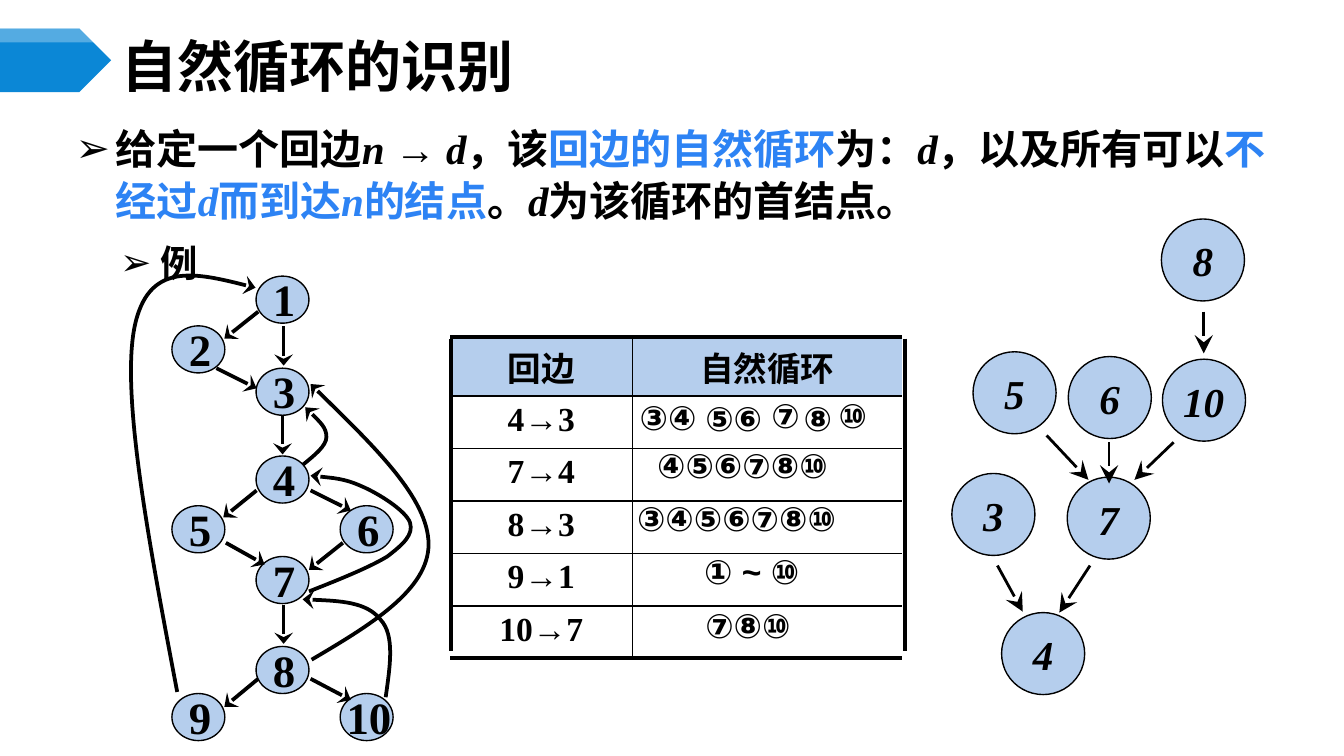
import pptx
import pptx.util
import pptx.dml.color
import pptx.enum.shapes
import pptx.enum.text
import pptx.oxml.ns
from lxml import etree

Cm, Pt = pptx.util.Cm, pptx.util.Pt
RGB = pptx.dml.color.RGBColor
SHAPE = pptx.enum.shapes.MSO_SHAPE
ALIGN = pptx.enum.text.PP_ALIGN
ANCHOR = pptx.enum.text.MSO_ANCHOR
qn = pptx.oxml.ns.qn

BLACK = RGB(0, 0, 0)
WHITE = RGB(255, 255, 255)
BANNER = RGB(0x0B, 0x87, 0xD6)
NODE = RGB(0xB5, 0xCE, 0xED)
KEY = RGB(0x2D, 0x83, 0xF4)
CJK, SERIF, SANS = "Noto Sans CJK SC", "Times New Roman", "Arial"
PLAIN_TABLE = "{2D5ABB26-0587-4C30-8999-92F81FD0307C}"

# number: (left, top)
FLOW_NODES = {
    "1": (4.84, 5.22), "2": (3.25, 6.16), "3": (4.84, 6.96), "4": (4.84, 8.62),
    "5": (3.25, 9.56), "6": (6.43, 9.56), "7": (4.84, 10.52),
    "8": (4.84, 12.22), "9": (3.25, 13.11), "10": (6.43, 13.11)}
FLOW_EDGES = [
    (4.88, 5.89, 4.24, 6.4), (5.36, 6.17, 5.36, 6.91), (4.09, 6.96, 4.85, 7.34),
    (5.34, 7.87, 5.34, 8.59), (4.85, 9.27, 4.22, 9.78), (5.87, 9.27, 6.63, 9.65),
    (4.27, 10.26, 5, 10.67), (6.48, 10.26, 5.84, 10.77),
    (5.36, 11.43, 5.36, 12.17), (4.88, 12.83, 4.24, 13.36),
    (5.87, 12.83, 6.63, 13.23)]
# start point, then three control points per Bezier piece
BACK_EDGES = [
    [(5.72, 8.79), (5.94, 8.61), (6.17, 8.43), (6.17, 8.26),
     (6.17, 8.08), (5.97, 7.9), (5.77, 7.7)],
    [(7.29, 13.18), (7.37, 12.6), (7.47, 12.01), (7.19, 11.71),
     (6.93, 11.38), (6.32, 11.35), (5.72, 11.33)],
    [(5.84, 11.18), (6.43, 10.95), (6.99, 10.72), (7.32, 10.52),
     (7.62, 10.29), (7.82, 10.11), (7.75, 9.88),
     (7.67, 9.65), (7.14, 9.32), (6.83, 9.19),
     (6.5, 9.04), (5.87, 8.99), (5.87, 8.99)],
    [(3.35, 13.08), (2.82, 10.29), (2.29, 7.49), (2.54, 6.2),
     (2.79, 4.93), (3.81, 5.18), (4.83, 5.44)],
    [(5.89, 12.47), (7.01, 11.81), (8.1, 11.15), (8.1, 10.29),
     (8.1, 9.42), (6.99, 8.36), (5.87, 7.26)]]
LOOP_NODES = {
    "8": (21.95, 4.14), "5": (18.39, 6.65), "6": (20.19, 6.74),
    "10": (21.97, 6.79), "3": (17.99, 8.95), "7": (20.17, 9.02),
    "4": (18.93, 11.58)}
LOOP_EDGES = [
    (22.75, 5.89, 22.75, 6.68), (19.78, 8.23, 20.57, 9.07),
    (20.96, 8.36, 20.96, 9.14), (22.18, 8.36, 21.44, 9.07),
    (18.85, 10.69, 19.33, 11.56), (20.6, 10.69, 20.02, 11.58)]
TABLE_EDGES = [("4", "3"), ("7", "4"), ("8", "3"), ("9", "1"), ("10", "7")]
# left, top, width, circled numbers
LOOPS = [
    (11.84, 7.37, 1.8, "③④"), (13.08, 7.39, 1.8, "⑤⑥"), (14.33, 7.34, 1.14, "⑦"),
    (14.94, 7.39, 1.14, "⑧"), (15.6, 7.34, 1.14, "⑩"),
    (12.17, 8.28, 4.39, "④⑤⑥⑦⑧⑩"), (11.79, 9.28, 5.03, "③④⑤⑥⑦⑧⑩"),
    (13.06, 10.29, 2.54, "① ~ ⑩"), (13.08, 11.31, 2.46, "⑦⑧⑩")]


class Deck:
    margins = dict(margin_left=Cm(0.18), margin_right=Cm(0.18),
                   margin_top=Cm(0.1), margin_bottom=Cm(0.1))

    def __init__(self, slide):
        self.slide = slide
        self.shapes = slide.shapes

    def put(self, obj, values):
        for name, value in values.items():
            setattr(obj, name, value)

    def run(self, p, text, size, font, color=BLACK, italic=False, ea=None):
        r = p.add_run()
        r.text = text
        self.put(r.font, dict(size=Pt(size), name=font, bold=True, italic=italic))
        r.font.color.rgb = color
        if ea:
            etree.SubElement(r.font._element, qn("a:ea"), typeface=ea)

    def frame(self, x, y, w, h, **values):
        tf = self.shapes.add_textbox(Cm(x), Cm(y), Cm(w), Cm(h)).text_frame
        self.put(tf, dict(word_wrap=True, **values))
        return tf

    def shape(self, kind, x, y, w, h, fill, line=None):
        sp = self.shapes.add_shape(kind, Cm(x), Cm(y), Cm(w), Cm(h))
        sp.shadow.inherit = False
        sp.fill.solid()
        sp.fill.fore_color.rgb = fill
        if line:
            sp.line.color.rgb = BLACK
            sp.line.width = Pt(line)
        else:
            sp.line.fill.background()
        return sp

    def stroke(self, sp, width, head):
        """Style a line; head is the arrowhead length, or None."""
        sp.line.color.rgb = BLACK
        sp.line.width = Pt(width)
        if head:
            etree.SubElement(sp.line._get_or_add_ln(), qn("a:tailEnd"),
                             type="stealth", w="lg", len=head)

    def line(self, x1, y1, x2, y2, width=2, head="med"):
        c = self.shapes.add_connector(pptx.enum.shapes.MSO_CONNECTOR.STRAIGHT,
                                      Cm(x1), Cm(y1), Cm(x2), Cm(y2))
        self.stroke(c, width, head)
        etree.SubElement(c._element.spPr, qn("a:effectLst"))

    def curve(self, points):
        """Draw joined cubic Beziers as one open, arrowed outline."""
        points = [(Cm(x), Cm(y)) for x, y in points]
        fb = self.shapes.build_freeform(*points[0])
        fb.add_line_segments(points[3::3], close=False)
        sp = fb.convert_to_shape()
        for i, seg in enumerate(list(sp._element.iter(qn("a:lnTo")))):
            seg.tag = qn("a:cubicBezTo")
            seg.clear()
            for x, y in points[3 * i + 1:3 * i + 4]:
                etree.SubElement(seg, qn("a:pt"), x=str(x - sp.left), y=str(y - sp.top))
        sp.shadow.inherit = False
        sp.fill.background()
        self.stroke(sp, 2, "med")

    def node(self, number, x, y, w, h, dx, dy, size, italic):
        self.shape(SHAPE.OVAL, x, y, w, h, NODE, 0.75)
        wide = len(number) > 1
        tf = self.frame(x + dx - 0.2 * wide, y + dy, 0.66 + 0.8 * wide,
                        1.18, **self.margins)
        self.run(tf.paragraphs[0], number, size, SERIF, italic=italic)

    def title(self, text):
        sp = self.shapes.title
        self.put(sp, dict(left=Cm(2.11), top=Cm(0.74), width=Cm(22.02), height=Cm(0.99)))
        tf = sp.text_frame
        self.put(tf, dict(vertical_anchor=ANCHOR.MIDDLE, word_wrap=True,
                          auto_size=pptx.enum.text.MSO_AUTO_SIZE.NONE, **self.margins))
        tf.paragraphs[0].alignment = ALIGN.LEFT
        self.run(tf.paragraphs[0], text, 30, CJK, ea=CJK)

    def bullet(self, p, indent, runs, size):
        pPr = p._p.get_or_add_pPr()
        pPr.set("marL", str(Cm(indent)))
        pPr.set("indent", str(-Cm(0.76)))
        p.line_spacing = Pt(28)
        etree.SubElement(pPr, qn("a:buFont"), typeface=SANS)
        etree.SubElement(pPr, qn("a:buChar"), char="➢")
        for text, color, italic in runs:
            self.run(p, text, size, SERIF, color, italic, CJK)

    def cell(self, cell, borders, runs, fill=None):
        tcPr = cell._tc.get_or_add_tcPr()
        for side, width in borders.items():
            ln = etree.SubElement(tcPr, qn("a:ln" + side), w=str(Pt(width)))
            solid = etree.SubElement(ln, qn("a:solidFill"))
            etree.SubElement(solid, qn("a:srgbClr"), val=str(BLACK))
        if fill:
            cell.fill.solid()
            cell.fill.fore_color.rgb = fill
        else:
            cell.fill.background()
        self.put(cell, dict(self.margins, margin_left=Cm(0.46), margin_right=Cm(0.46)))
        p = cell.text_frame.paragraphs[0]
        p.alignment = ALIGN.CENTER
        for text, font, italic in runs:
            self.run(p, text, 18, font, italic=italic, ea=CJK if font == CJK else None)

    def table(self, header, edges):
        n = len(edges) + 1
        tbl = self.shapes.add_table(n, 2, Cm(8.51), Cm(6.37), Cm(8.54), Cm(n * 0.99)).table
        self.put(tbl, dict(first_row=False, horz_banding=False))
        tbl._tbl.tblPr.find(qn("a:tableStyleId")).text = PLAIN_TABLE
        tbl.columns[0].width, tbl.columns[1].width = Cm(3.44), Cm(5.1)
        rows = [[[(text, CJK, False)] for text in header]]
        rows += [[[(a, SERIF, False), ("→", SERIF, True), (b, SERIF, False)], []]
                 for a, b in edges]
        for i, row in enumerate(rows):
            for j, runs in enumerate(row):
                borders = {"RL"[j]: 1, "T": 1 if i else 2.25, "B": 1 if i < n - 1 else 2.25}
                self.cell(tbl.cell(i, j), borders, runs, None if i else NODE)


def main():
    prs = pptx.Presentation()
    prs.slide_width, prs.slide_height = Cm(25.4), Cm(14.29)
    d = Deck(prs.slides.add_slide(prs.slide_layouts[5]))

    d.shape(SHAPE.PENTAGON, 0, 0.54, 2.1, 1.2, BANNER)
    gloss = d.shape(SHAPE.PENTAGON, 0, 0.55, 2.1, 0.25, WHITE)
    color = gloss._element.spPr.find(qn("a:solidFill"))[0]
    etree.SubElement(color, qn("a:alpha"), val="30000")
    d.title("自然循环的识别")

    d.table(["回边", "自然循环"], TABLE_EDGES)
    for x in (8.52, 17.1):
        d.line(x, 6.4, x, 12.31, head=None)

    tf = d.frame(1.25, 2.18, 22.89, 3.18, **d.margins)
    d.bullet(tf.paragraphs[0], 0.76, [
        ("给定一个回边", BLACK, False), ("n → d", BLACK, True), ("，该", BLACK, False),
        ("回边的自然循环", KEY, False), ("为：", BLACK, False), ("d", BLACK, True),
        ("，以及所有可以", BLACK, False), ("不经过", KEY, False), ("d", KEY, True),
        ("而到达", KEY, False), ("n", KEY, True), ("的结点", KEY, False),
        ("。", BLACK, False), ("d", BLACK, True), ("为该循环的首结点。", BLACK, False)], 22)
    p = tf.add_paragraph()
    p.level = 1
    p.space_before = Pt(4)
    d.bullet(p, 1.6, [("例", BLACK, False)], 20)

    for x, y, w, text in LOOPS:
        d.run(d.frame(x, y, w, 1.02).paragraphs[0], text, 18, SANS)

    for number, (x, y) in LOOP_NODES.items():
        d.node(number, x, y, 1.57, 1.55, 0.41, 0.22, 22, True)
    for edge in LOOP_EDGES:
        d.line(*edge, width=1.5, head="lg")

    for number, (x, y) in FLOW_NODES.items():
        d.node(number, x, y, 1, 0.89, 0.14, -0.18, 24, False)
    for edge in FLOW_EDGES:
        d.line(*edge)
    for points in BACK_EDGES:
        d.curve(points)

    prs.save("out.pptx")


if __name__ == "__main__":
    main()
